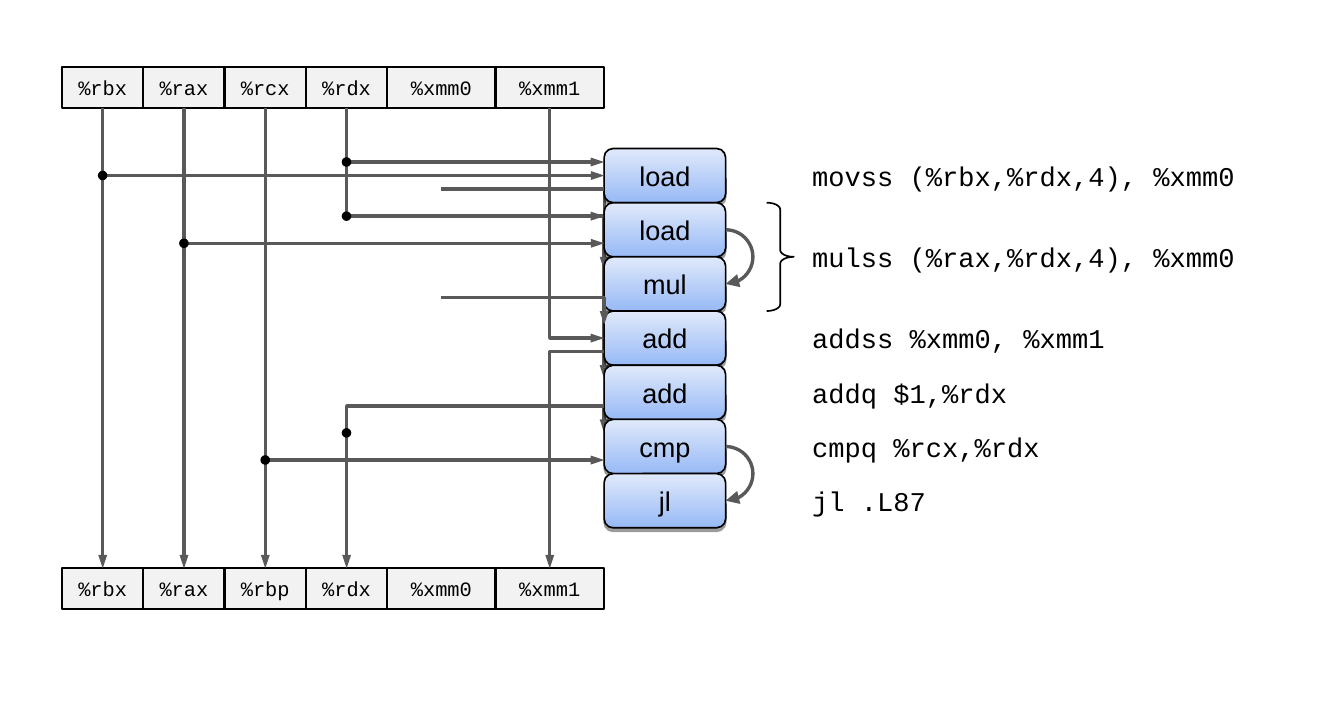
from lxml import etree
from pptx import Presentation
from pptx.dml.color import RGBColor
from pptx.enum.shapes import MSO_CONNECTOR, MSO_SHAPE
from pptx.enum.text import MSO_ANCHOR, PP_ALIGN
from pptx.oxml.ns import qn
from pptx.util import Cm, Pt

BLACK = RGBColor(0x00, 0x00, 0x00)
GREY = RGBColor(0x59, 0x59, 0x59)
PALE_GREY = RGBColor(0xF2, 0xF2, 0xF2)
BLUE = RGBColor(0x98, 0xBA, 0xF6)
PALE_BLUE = RGBColor(0xE0, 0xE9, 0xFB)
RECTANGLE, ROUNDED = MSO_SHAPE.RECTANGLE, MSO_SHAPE.ROUNDED_RECTANGLE
OVAL, ARC, BRACE = MSO_SHAPE.OVAL, MSO_SHAPE.ARC, MSO_SHAPE.RIGHT_BRACE
STRAIGHT, ELBOW = MSO_CONNECTOR.STRAIGHT, MSO_CONNECTOR.ELBOW
CENTER, LEFT, MIDDLE = PP_ALIGN.CENTER, PP_ALIGN.LEFT, MSO_ANCHOR.MIDDLE

# Layout, in centimetres
REGISTER_LEFT, REGISTER_HEIGHT = 0.97, 0.64
REGISTER_TOP, REGISTER_BOTTOM = 1.05, 8.88
UNIT_LEFT, UNIT_TOP, UNIT_WIDTH = 9.44, 2.32, 1.9
UNIT_RIGHT = UNIT_LEFT + UNIT_WIDTH
ROW = 2.54 / 3
CODE_LEFT, CODE_WIDTH = 12.4, 7.62

presentation = Presentation()
presentation.slide_width = Cm(21)
presentation.slide_height = Cm(11)
slide = presentation.slides.add_slide(presentation.slide_layouts[6])
shapes = slide.shapes


def add_label(text, left, top, width, height, kind=ROUNDED, fill=None,
              line_width=None, font="Courier New", size=12, align=CENTER):
    shape = shapes.add_shape(kind, Cm(left), Cm(top), Cm(width), Cm(height))
    shape.shadow.inherit = False
    if fill is None:
        shape.fill.background()
    else:
        shape.fill.solid()
        shape.fill.fore_color.rgb = fill
    if line_width is None:
        shape.line.fill.background()
    else:
        shape.line.color.rgb = BLACK
        shape.line.width = Pt(line_width)
    shape.text_frame.vertical_anchor = MIDDLE
    paragraph = shape.text_frame.paragraphs[0]
    paragraph.alignment = align
    run = paragraph.add_run()
    run.text = text
    run.font.name, run.font.size = font, Pt(size)
    run.font.color.rgb = BLACK
    return shape


def add_wire(start, end, preset="line", arrow=True):
    """Straight wire, or a bent one that leaves or arrives vertically."""
    (x1, y1), (x2, y2) = start, end
    kind = STRAIGHT if preset == "line" else ELBOW
    wire = shapes.add_connector(kind, Cm(min(x1, x2)), Cm(y1), Cm(max(x1, x2)), Cm(y2))
    wire.line.color.rgb = GREY
    wire.line.width = Pt(1.5)
    properties = wire.element.spPr
    if arrow:
        etree.SubElement(properties.find(qn("a:ln")), qn("a:tailEnd"),
                         type="triangle", w="sm", len="med")
    etree.SubElement(properties, qn("a:effectLst"))
    if kind == ELBOW:
        # Turn the frame by a quarter around its centre
        width, height = y2 - y1, abs(x2 - x1)
        wire.left, wire.top = Cm((x1 + x2 - width) / 2), Cm((y1 + y2 - height) / 2)
        wire.width, wire.height = Cm(width), Cm(height)
        frame = properties.find(qn("a:xfrm"))
        frame.set("rot", "16200000" if x2 > x1 else "5400000")
        if x2 > x1:
            frame.set("flipH", "1")
        geometry = properties.find(qn("a:prstGeom"))
        geometry.set("prst", preset)
        if preset == "bentConnector3":
            etree.SubElement(geometry.find(qn("a:avLst")), qn("a:gd"),
                             name="adj1", fmla="val 0")
    return wire


# Register files before and after the loop body
registers = [("%rbx", "%rbx", 1.27), ("%rax", "%rax", 1.27), ("%rcx", "%rbp", 1.27),
             ("%rdx", "%rdx", 1.27), ("%xmm0", "%xmm0", 2 * ROW), ("%xmm1", "%xmm1", 2 * ROW)]
cells, centers = {}, {}
left = REGISTER_LEFT
for before, after, width in registers:
    cells[before] = [
        add_label(text, left, top, width, REGISTER_HEIGHT, kind=RECTANGLE,
                  fill=PALE_GREY, line_width=1, size=9)
        for text, top in ((before, REGISTER_TOP), (after, REGISTER_BOTTOM))]
    centers[before] = left + width / 2
    left += width
source_y = REGISTER_TOP + REGISTER_HEIGHT

# Values passed down between units, behind the boxes: register, from row, to row
for register, first, last in (("%rdx", 4.75, 5.25), ("%rdx", 1.25, 4.25), ("%xmm0", 0.75, 2.25)):
    add_wire((centers[register], UNIT_TOP + first * ROW),
             (UNIT_LEFT, UNIT_TOP + last * ROW), "bentConnector3")

# Functional units
for row, operation in enumerate(["load", "load", "mul", "add", "add", "cmp", "jl"]):
    unit = add_label(operation, UNIT_LEFT, UNIT_TOP + row * ROW, UNIT_WIDTH, ROW,
                     fill=BLUE, line_width=0.75, font="Arial")
    unit.fill.gradient()
    unit.fill.gradient_angle = 90
    for stop, color in zip(unit.fill.gradient_stops, (BLUE, PALE_BLUE)):
        stop.color.rgb = color
    shadow = etree.SubElement(unit.element.spPr.find(qn("a:effectLst")), qn("a:outerShdw"),
                              dist=str(Pt(1.6)), dir="5400000", rotWithShape="0")
    shadow_color = etree.SubElement(shadow, qn("a:srgbClr"), val="000000")
    etree.SubElement(shadow_color, qn("a:alpha"), val="38000")

# Registers that pass through unchanged
for register in ("%rbx", "%rax", "%rcx"):
    x = centers[register]
    wire = add_wire((x, source_y), (x, REGISTER_BOTTOM))
    wire.begin_connect(cells[register][0], 2)
    wire.end_connect(cells[register][1], 0)

# Registers read by units
for register, row in (("%rbx", 0.5), ("%rdx", 0.25), ("%rdx", 1.25),
                      ("%rax", 1.75), ("%xmm1", 3.5)):
    add_wire((centers[register], source_y), (UNIT_LEFT, UNIT_TOP + row * ROW),
             "bentConnector2")
compare_y = UNIT_TOP + 5.75 * ROW
add_wire((centers["%rcx"], compare_y), (UNIT_LEFT, compare_y))

# Registers written by units
for register, row in (("%xmm1", 3.75), ("%rdx", 4.75)):
    add_wire((UNIT_LEFT, UNIT_TOP + row * ROW), (centers[register], REGISTER_BOTTOM),
             "bentConnector3")
for row in (0.75, 2.75):
    y = UNIT_TOP + row * ROW
    add_wire((centers["%xmm0"], y), (UNIT_LEFT, y), arrow=False)
add_wire((centers["%xmm0"], UNIT_TOP + 2.75 * ROW),
         (UNIT_LEFT, UNIT_TOP + 3.25 * ROW), "bentConnector3")

# Junction dots
DOT = 0.15
for register, row in (("%rbx", 0.5), ("%rax", 1.75), ("%rcx", 5.75),
                      ("%rdx", 0.25), ("%rdx", 1.25), ("%rdx", 5.25)):
    dot = shapes.add_shape(OVAL, Cm(centers[register] - DOT / 2),
                           Cm(UNIT_TOP + row * ROW - DOT / 2), Cm(DOT), Cm(DOT))
    dot.shadow.inherit = False
    dot.fill.solid()
    dot.fill.fore_color.rgb = BLACK
    dot.line.fill.background()

# Curved arrows from load to mul and from cmp to jl
for row in (1.5, 5.5):
    curve = shapes.add_shape(ARC, Cm(UNIT_RIGHT - ROW / 2), Cm(UNIT_TOP + row * ROW),
                             Cm(ROW), Cm(ROW))
    curve.shadow.inherit = False
    curve.adjustments[1] = 54
    curve.fill.background()
    curve.line.color.rgb = GREY
    curve.line.width = Pt(1.5)
    etree.SubElement(curve.element.spPr.find(qn("a:ln")), qn("a:tailEnd"), type="triangle")

# Brace around the two units of mulss
brace = shapes.add_shape(BRACE, Cm(11.98), Cm(UNIT_TOP + ROW), Cm(ROW / 2), Cm(2 * ROW))
brace.shadow.inherit = False
brace.adjustments[0] = 0.25
brace.fill.background()
brace.line.color.rgb = BLACK
brace.line.width = Pt(0.75)

# Assembly code
for row, code in ((0, "movss (%rbx,%rdx,4), %xmm0"), (1.5, "mulss (%rax,%rdx,4), %xmm0"),
                  (3, "addss %xmm0, %xmm1"), (4, "addq $1,%rdx"),
                  (5, "cmpq %rcx,%rdx"), (6, "jl .L87")):
    add_label(code, CODE_LEFT, UNIT_TOP + row * ROW, CODE_WIDTH, ROW, align=LEFT)

presentation.save("out.pptx")
